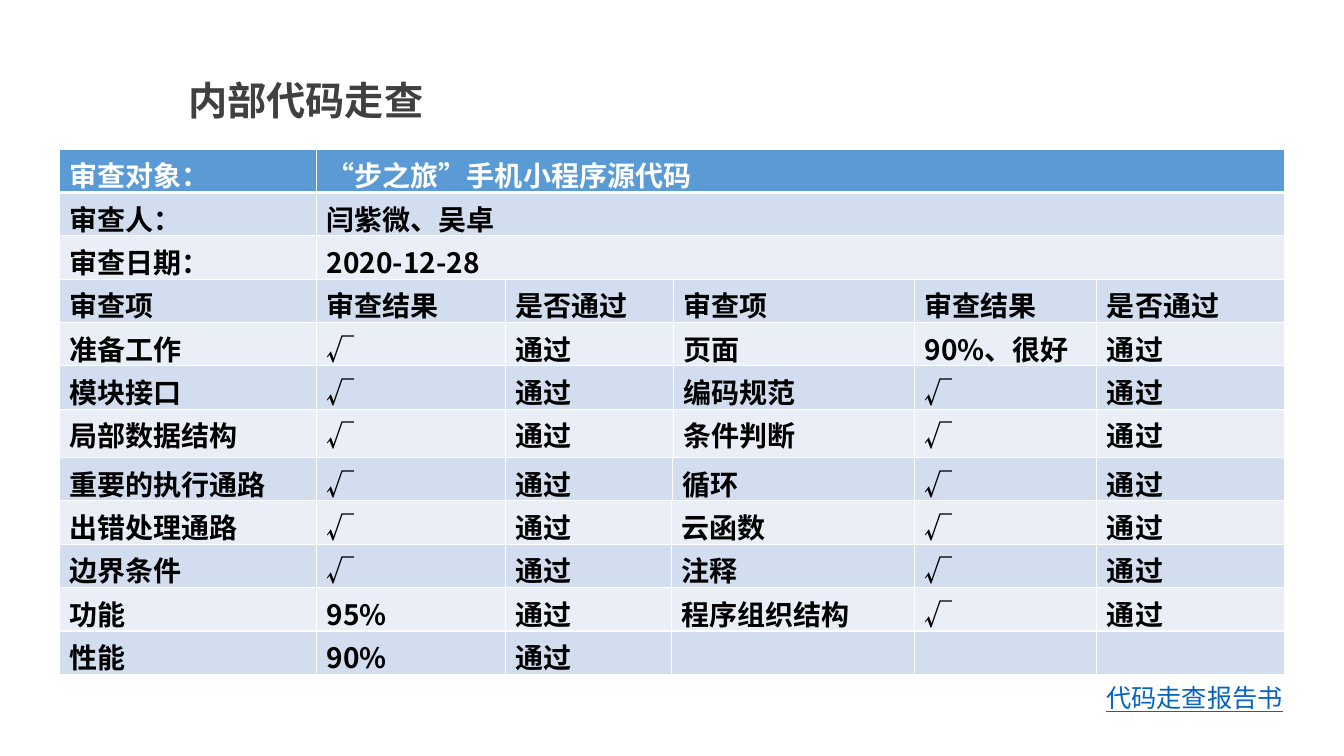
"""Builds the slide with the results table of an internal code review."""
from lxml import etree
from pptx import Presentation
from pptx import util as u
from pptx.dml.color import RGBColor
from pptx.enum import text
from pptx.oxml.ns import qn

FONT = "Noto Sans CJK SC"


def style(frame, size, color, bold=False, line=False):
    for run in frame.paragraphs[0].runs:
        font = run.font
        font.name, font.size = FONT, u.Pt(size)
        font.bold, font.underline = bold, line
        font.color.rgb = RGBColor.from_string(color)
        etree.SubElement(run._r.get_or_add_rPr(), qn("a:ea"), typeface=FONT)


def border(cell, side, width):
    props = cell._tc.get_or_add_tcPr()
    edge = etree.SubElement(props, qn("a:" + side), w=str(u.Pt(width)))
    fill = etree.SubElement(edge, qn("a:solidFill"))
    etree.SubElement(fill, qn("a:srgbClr"), val="FFFFFF")


deck = Presentation()
deck.slide_width, deck.slide_height = u.Inches(13.33), u.Inches(7.5)
slide = deck.slides.add_slide(deck.slide_layouts[6])

title = slide.shapes.add_textbox(u.Inches(1.77), u.Inches(0.71), u.Inches(8.21), u.Inches(0.57))
title.text_frame.word_wrap = True
title.text_frame.text = "内部代码走查"
style(title.text_frame, 28, "404040", bold=True)

rows = [
    ["审查对象：", "“步之旅”手机小程序源代码"],
    ["审查人：", "闫紫微、吴卓"],
    ["审查日期：", "2020-12-28"],
    ["审查项", "审查结果", "是否通过"] * 2,
    ["准备工作", "√", "通过", "页面", "90%、很好", "通过"],
    ["模块接口", "√", "通过", "编码规范", "√", "通过"],
    ["局部数据结构", "√", "通过", "条件判断", "√", "通过"],
    ["重要的执行通路", "√", "通过", "循环", "√", "通过"],
    ["出错处理通路", "√", "通过", "云函数", "√", "通过"],
    ["边界条件", "√", "通过", "注释", "√", "通过"],
    ["功能", "95%", "通过", "程序组织结构", "√", "通过"],
    ["性能", "90%", "通过", "", "", ""],
]
widths = [2.55, 1.87, 1.65, 0.01, 0.01, 2.39, 1.81, 1.86]
frame = slide.shapes.add_table(len(rows), len(widths), u.Inches(0.59), u.Inches(1.48),
                               u.Inches(12.15), u.Inches(5.24))
table = frame.table
for col, width in zip(table.columns, widths):
    col.width = u.Inches(width)

for r, words in enumerate(rows):
    table.rows[r].height = u.Inches(0.48 if r == 6 else 0.43)
    if r < 3:
        spans = [1, 7]
    elif r < 7:
        spans = [1, 1, 3, 1, 1, 1]
    elif r == 7:
        spans = [1, 1, 2, 2, 1, 1]
    else:
        spans = [1, 1, 1, 3, 1, 1]
    for c in range(len(widths)):
        cell = table.cell(r, c)
        cell.margin_top, cell.margin_bottom = u.Inches(0.05), 0
        for side in ("lnL", "lnR", "lnT", "lnB"):
            thick = (r, side) in ((0, "lnB"), (1, "lnT"))
            border(cell, side, 3 if thick else 1)
        cell.fill.solid()
        shade = "5B9BD5" if r == 0 else ("EAEFF7", "D2DEEF")[r % 2]
        cell.fill.fore_color.rgb = RGBColor.from_string(shade)
    start = 0
    for word, span in zip(words, spans):
        cell = table.cell(r, start)
        if span > 1:
            cell.merge(table.cell(r, start + span - 1))
        cell.text_frame.text = word
        style(cell.text_frame, 20, "000000" if r else "FFFFFF", bold=True)
        start += span

report = slide.shapes.add_textbox(u.Inches(10.76), u.Inches(6.72), u.Inches(2.06), u.Inches(0.4))
report.text_frame.word_wrap = True
report.text_frame.text = "代码走查报告书"
report.text_frame.paragraphs[0].alignment = text.PP_ALIGN.RIGHT
style(report.text_frame, 18, "0563C1", line=True)

deck.save("out.pptx")
